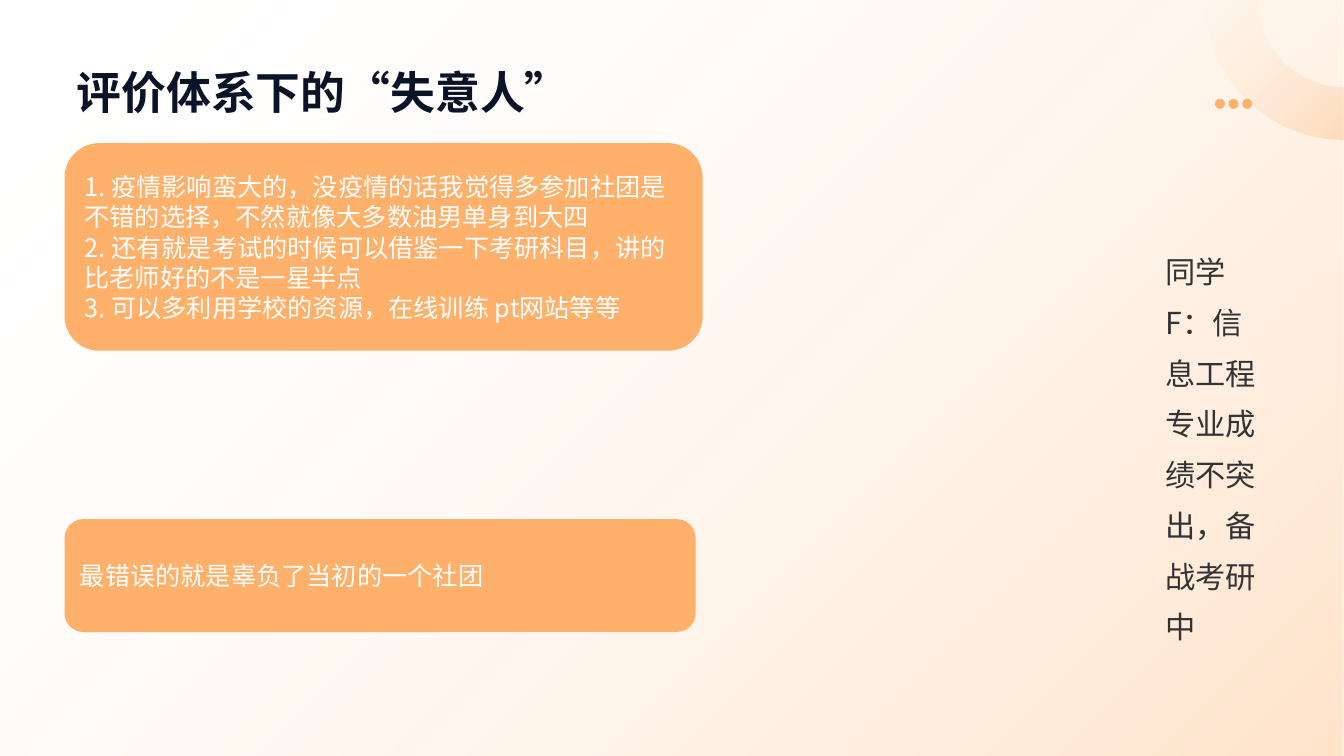
from dataclasses import dataclass
from math import cos, radians, sin

from lxml import etree
from pptx import Presentation
from pptx.dml.color import RGBColor
from pptx.enum.shapes import MSO_SHAPE
from pptx.enum.text import MSO_ANCHOR, PP_ALIGN
from pptx.oxml import parse_xml
from pptx.oxml.ns import nsdecls, qn
from pptx.util import Inches, Pt

RECTANGLE, ROUNDED, OVAL = MSO_SHAPE.RECTANGLE, MSO_SHAPE.ROUNDED_RECTANGLE, MSO_SHAPE.OVAL
MIDDLE, BOTTOM = MSO_ANCHOR.MIDDLE, MSO_ANCHOR.BOTTOM
LEFT = PP_ALIGN.LEFT


@dataclass(frozen=True)
class Theme:
    font: str = "Noto Sans CJK SC"
    orange: str = "FFB06A"
    peach: str = "FFDFC3"
    white: str = "FFFFFF"
    navy: str = "0B1427"
    gray: str = "333333"
    title_size: float = 32
    profile_size: float = 21.6
    answer_size: float = 18


theme = Theme()


def set_gradient(shape, start, end, end_position):
    shape.shadow.inherit = False
    shape.line.fill.background()
    gradient = parse_xml(
        f'<a:gradFill {nsdecls("a")} rotWithShape="1"><a:gsLst>'
        f'<a:gs pos="0"><a:srgbClr val="{start}"><a:alpha val="0"/></a:srgbClr></a:gs>'
        f'<a:gs pos="{end_position * 1000}"><a:srgbClr val="{end}"><a:alpha val="34000"/></a:srgbClr></a:gs>'
        '</a:gsLst><a:lin ang="2700000" scaled="0"/></a:gradFill>'
    )
    shape.line._ln.addprevious(gradient)


def write_text(frame, lines, size, color, bold=False):
    frame.word_wrap = True
    frame.text = "\n".join(lines)
    for para in frame.paragraphs:
        para.alignment = LEFT
        for span in para.runs:
            span.font.name = theme.font
            span.font.size = Pt(size)
            span.font.bold = bold
            span.font.color.rgb = RGBColor.from_string(color)
            east_asian = etree.SubElement(span.font._element, qn("a:ea"))
            east_asian.set("typeface", theme.font)


deck = Presentation()
deck.slide_width, deck.slide_height = Inches(13.33), Inches(7.5)
page = deck.slides.add_slide(deck.slide_layouts[5])
title = page.shapes.title

backdrop = page.shapes.add_shape(RECTANGLE, 0, 0, deck.slide_width, deck.slide_height)
set_gradient(backdrop, theme.white, theme.orange, 99)

outer_radius, inner_radius = 1.38, 0.86
arc = [(outer_radius, angle) for angle in range(180, 89, -3)]
arc += [(inner_radius, angle) for angle in range(90, 181, 3)]
points = [
    (Inches(13.33 + radius * cos(radians(angle))), Inches(radius * sin(radians(angle))))
    for radius, angle in arc
]
builder = page.shapes.build_freeform(*points[0])
builder.add_line_segments(points[1:], close=True)
ring = builder.convert_to_shape()
set_gradient(ring, theme.peach, theme.orange, 100)

for index in range(3):
    dot = page.shapes.add_shape(
        OVAL, Inches(12.05 + index * 0.135), Inches(0.98), Inches(0.1), Inches(0.1)
    )
    dot.shadow.inherit = False
    dot.fill.solid()
    dot.fill.fore_color.rgb = RGBColor.from_string(theme.orange)
    dot.line.fill.background()

page.shapes[-1].element.addnext(title.element)
title.left, title.top = Inches(0.76), Inches(0.39)
title.width, title.height = Inches(11.81), Inches(0.79)
title_frame = title.text_frame
title_frame.margin_left = title_frame.margin_right = 0
title_frame.margin_top = title_frame.margin_bottom = 0
title_frame.vertical_anchor = BOTTOM
write_text(title_frame, ["评价体系下的“失意人”"], theme.title_size, theme.navy, bold=True)

profile = page.shapes.add_textbox(Inches(11.46), Inches(2.32), Inches(1.26), Inches(4.12))
write_text(
    profile.text_frame, ["同学F：信息工程专业成绩不突出，备战考研中"], theme.profile_size, theme.gray
)
profile.text_frame.paragraphs[0].line_spacing = 1.4

answers = [
    (1.42, 6.33, 2.06, [
        "1. 疫情影响蛮大的，没疫情的话我觉得多参加社团是不错的选择，不然就像大多数油男单身到大四",
        "2. 还有就是考试的时候可以借鉴一下考研科目，讲的比老师好的不是一星半点",
        "3. 可以多利用学校的资源，在线训练 pt网站等等",
    ]),
    (5.15, 6.26, 1.12, ["最错误的就是辜负了当初的一个社团"]),
]
for top, width, height, lines in answers:
    box = page.shapes.add_shape(ROUNDED, Inches(0.64), Inches(top), Inches(width), Inches(height))
    box.shadow.inherit = False
    box.fill.solid()
    box.fill.fore_color.rgb = RGBColor.from_string(theme.orange)
    box.line.fill.background()
    box.text_frame.vertical_anchor = MIDDLE
    write_text(box.text_frame, lines, theme.answer_size, theme.white)

deck.save("out.pptx")
